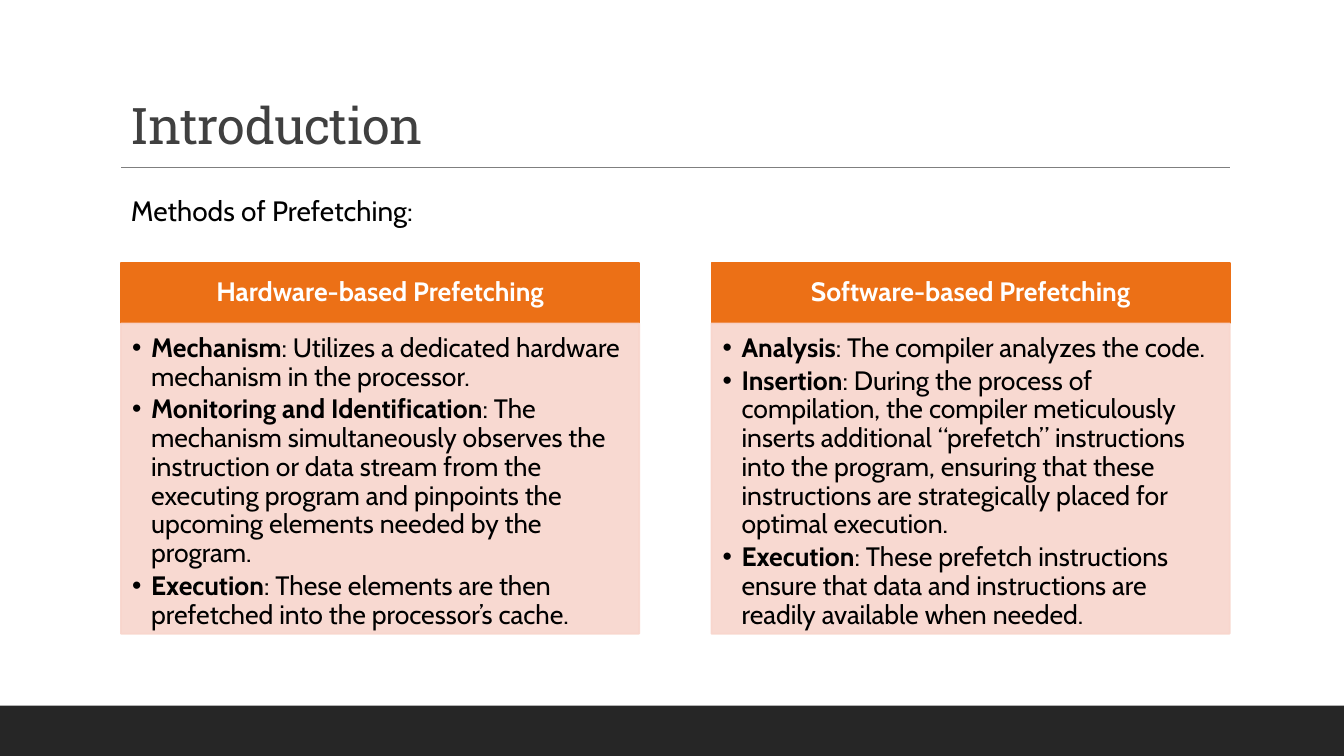
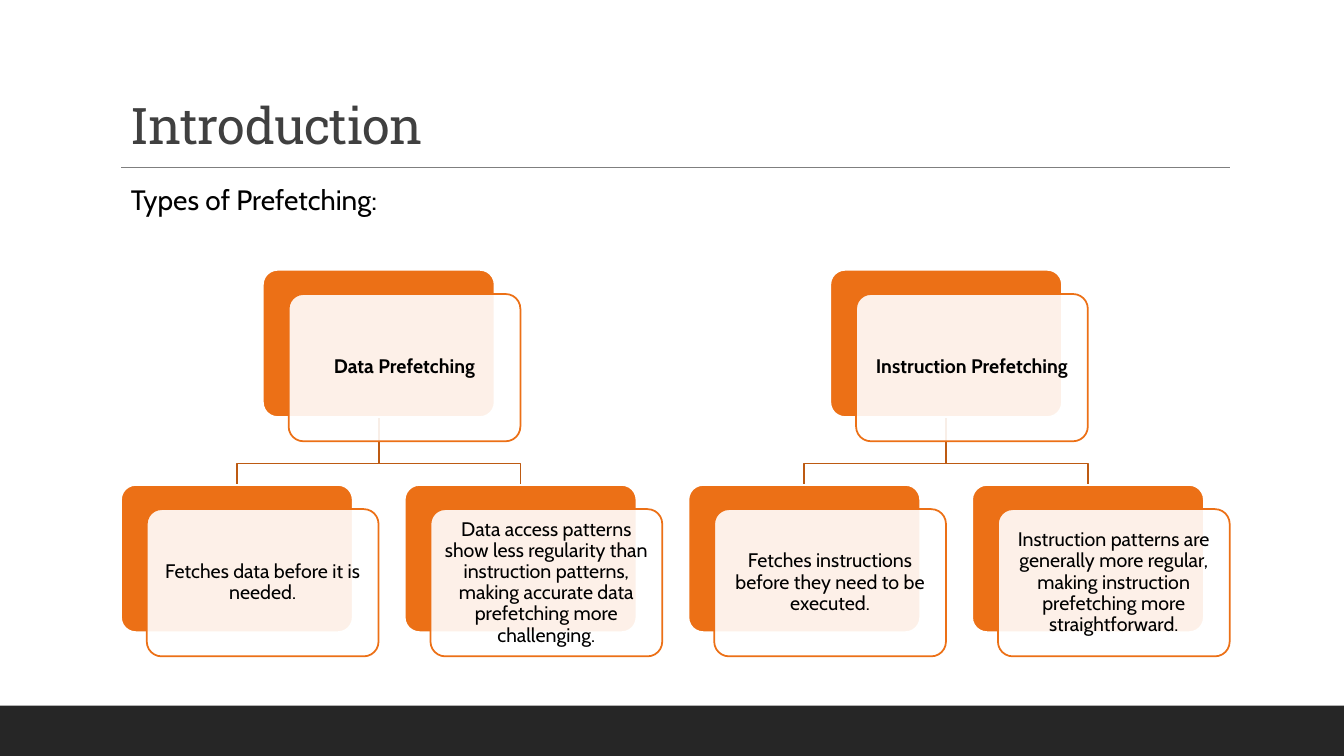
from pptx import Presentation
from pptx.dml.color import RGBColor
from pptx.enum.shapes import MSO_CONNECTOR, MSO_SHAPE
from pptx.enum.text import MSO_ANCHOR, MSO_AUTO_SIZE, PP_ALIGN
from pptx.oxml.ns import qn
from pptx.util import Cm, Pt
from lxml import etree

RECTANGLE, ROUNDED = MSO_SHAPE.RECTANGLE, MSO_SHAPE.ROUNDED_RECTANGLE
STRAIGHT = MSO_CONNECTOR.STRAIGHT
TOP, MIDDLE = MSO_ANCHOR.TOP, MSO_ANCHOR.MIDDLE
LEFT, CENTER, JUSTIFY = PP_ALIGN.LEFT, PP_ALIGN.CENTER, PP_ALIGN.JUSTIFY
GROW = MSO_AUTO_SIZE.SHAPE_TO_FIT_TEXT

ORANGE = RGBColor(0xEC, 0x70, 0x16)
DARK_ORANGE = RGBColor(0xBD, 0x5A, 0x12)
PINK = RGBColor(0xF8, 0xD5, 0xCC)
CHARCOAL = RGBColor(0x26, 0x26, 0x26)
TITLE_GRAY = RGBColor(0x40, 0x40, 0x40)
RULE_GRAY = RGBColor(0x7F, 0x7F, 0x7F)
BLACK = RGBColor(0x00, 0x00, 0x00)
WHITE = RGBColor(0xFF, 0xFF, 0xFF)

TITLE_FONT = {"name": "Roboto Slab", "size": Pt(36)}
LEAD_FONT = {"name": "Cabin", "size": Pt(20)}
COLUMN_FONT = {"name": "Cabin", "size": Pt(19)}
CARD_FONT = {"name": "Cabin", "size": Pt(14)}

SLIDE_WIDTH, SLIDE_HEIGHT = Cm(33.87), Cm(19.05)
BAND_HEIGHT = Cm(1.27)
MARGIN, CONTENT_WIDTH = Cm(3.05), Cm(27.94)
LINE_WIDTH = Pt(1.25)

COLUMN_TOP, COLUMN_WIDTH = Cm(6.63), Cm(13.06)
HEADER_HEIGHT, BODY_HEIGHT = Cm(1.52), Cm(7.82)

CARD_WIDTH, CARD_HEIGHT = Cm(5.84), Cm(3.71)
CARD_SHIFT_X, CARD_SHIFT_Y = Cm(0.65), Cm(0.61)
CARD_PITCH = Cm(7.15)
ROOT_TOP, LEAF_TOP = Cm(6.8), Cm(12.22)
ELBOW_DROP = Cm(0.54)

COLUMNS = [
    ("Hardware-based Prefetching", [
        ("Mechanism", "Utilizes a dedicated hardware mechanism in the processor."),
        ("Monitoring and Identification",
         "The mechanism simultaneously observes the instruction or data stream from the "
         "executing program and pinpoints the upcoming elements needed by the program."),
        ("Execution", "These elements are then prefetched into the processor’s cache."),
    ]),
    ("Software-based Prefetching", [
        ("Analysis", "The compiler analyzes the code."),
        ("Insertion",
         "During the process of compilation, the compiler meticulously inserts additional "
         "“prefetch” instructions into the program, ensuring that these instructions are "
         "strategically placed for optimal execution."),
        ("Execution",
         "These prefetch instructions ensure that data and instructions are readily "
         "available when needed."),
    ]),
]

TREES = [
    ("Data Prefetching", [
        "Fetches data before it is needed.",
        "Data access patterns show less regularity than instruction patterns, making "
        "accurate data prefetching more challenging.",
    ]),
    ("Instruction Prefetching", [
        "Fetches instructions before they need to be executed.",
        "Instruction patterns are generally more regular, making instruction prefetching "
        "more straightforward.",
    ]),
]


def set_attributes(target, values):
    for name, value in values.items():
        setattr(target, name, value)


def add_run(paragraph, text, font, color=BLACK, bold=False):
    run = paragraph.add_run()
    run.text = text
    set_attributes(run.font, {**font, "bold": bold})
    run.font.color.rgb = color
    return run


def set_frame(shape, anchor, margins, wrap=True):
    """Margins are left, top, right and bottom."""
    frame = shape.text_frame
    left, top, right, bottom = margins
    set_attributes(frame, {
        "word_wrap": wrap, "vertical_anchor": anchor,
        "margin_left": left, "margin_top": top,
        "margin_right": right, "margin_bottom": bottom,
    })
    return frame


def add_box(slide, kind, left, top, width, height, fill, line=None):
    shape = slide.shapes.add_shape(kind, left, top, width, height)
    shape.shadow.inherit = False
    shape.fill.solid()
    shape.fill.fore_color.rgb = fill
    if line is None:
        shape.line.fill.background()
    else:
        shape.line.color.rgb = line
        shape.line.width = LINE_WIDTH
    return shape


def fade(shape, color):
    """Make every use of the color in the shape 90 % opaque."""
    for element in shape._element.spPr.iter(qn("a:srgbClr")):
        if element.get("val") == str(color):
            etree.SubElement(element, qn("a:alpha")).set("val", "90000")


def add_bullet(paragraph):
    properties = paragraph._p.get_or_add_pPr()
    properties.set("marL", str(Cm(0.48)))
    properties.set("indent", str(-Cm(0.48)))
    etree.SubElement(properties, qn("a:buFont")).set("typeface", "Arial")
    etree.SubElement(properties, qn("a:buChar")).set("char", "•")


def add_base_slide(presentation, title):
    """Add a slide with the bottom band, the title and the rule below it."""
    slide = presentation.slides.add_slide(presentation.slide_layouts[6])
    add_box(slide, RECTANGLE, 0, SLIDE_HEIGHT - BAND_HEIGHT, SLIDE_WIDTH, BAND_HEIGHT, CHARCOAL)

    title_top, title_height = Cm(2.41), Cm(1.8)
    box = slide.shapes.add_textbox(MARGIN, title_top, CONTENT_WIDTH, title_height)
    frame = set_frame(box, TOP, (Cm(0.25), Cm(0.13), Cm(0.25), Cm(0.13)))
    paragraph = frame.paragraphs[0]
    set_attributes(paragraph, {"alignment": JUSTIFY, "line_spacing": 0.9})
    run = add_run(paragraph, title, TITLE_FONT, TITLE_GRAY)
    run._r.get_or_add_rPr().set("spc", "-50")

    rule_top = title_top + title_height
    rule = slide.shapes.add_connector(
        STRAIGHT, MARGIN, rule_top, MARGIN + CONTENT_WIDTH, rule_top)
    rule.line.color.rgb = RULE_GRAY
    rule.line.width = Pt(0.75)
    etree.SubElement(rule._element.spPr, qn("a:effectLst"))
    return slide


def add_lead(slide, text, top, width):
    box = slide.shapes.add_textbox(MARGIN, top, width, Cm(1.12))
    frame = set_frame(box, TOP, (Cm(0.25), Cm(0.13), Cm(0.25), Cm(0.13)), wrap=False)
    frame.auto_size = GROW
    add_run(frame.paragraphs[0], text, LEAD_FONT)


def add_column(slide, left, top, width, heading, points):
    header = add_box(slide, RECTANGLE, left, top, width, HEADER_HEIGHT, ORANGE, ORANGE)
    frame = set_frame(header, MIDDLE, (Cm(0.38), Cm(0.2), Cm(0.38), Cm(0.2)))
    paragraph = frame.paragraphs[0]
    set_attributes(paragraph, {"alignment": CENTER, "line_spacing": 0.9})
    add_run(paragraph, heading, COLUMN_FONT, WHITE, bold=True)

    body = add_box(slide, RECTANGLE, left, top + HEADER_HEIGHT, width, BODY_HEIGHT, PINK, PINK)
    fade(body, PINK)
    frame = set_frame(body, TOP, (Cm(0.28), Cm(0.28), Cm(0.38), Cm(0.43)))
    for index, (term, explanation) in enumerate(points):
        paragraph = frame.add_paragraph() if index else frame.paragraphs[0]
        set_attributes(paragraph, {
            "alignment": LEFT, "line_spacing": 0.9, "space_after": Pt(2.85)})
        add_bullet(paragraph)
        add_run(paragraph, term, COLUMN_FONT, bold=True)
        add_run(paragraph, f": {explanation}", COLUMN_FONT)


def add_card(slide, left, top, text, bold=False):
    """Add an orange card with a translucent text card shifted over it."""
    back = add_box(slide, ROUNDED, left, top, CARD_WIDTH, CARD_HEIGHT, ORANGE, WHITE)
    front = add_box(slide, ROUNDED, left + CARD_SHIFT_X, top + CARD_SHIFT_Y,
                    CARD_WIDTH, CARD_HEIGHT, WHITE, ORANGE)
    for card in (back, front):
        card.adjustments[0] = 0.1
    fade(front, WHITE)
    frame = set_frame(front, MIDDLE, (Cm(0.15),) * 4)
    paragraph = frame.paragraphs[0]
    set_attributes(paragraph, {"alignment": CENTER, "line_spacing": 0.9})
    add_run(paragraph, text, CARD_FONT, bold=bold)


def add_elbow(slide, start_x, start_y, end_x, end_y):
    bend_y = end_y - ELBOW_DROP
    builder = slide.shapes.build_freeform(start_x, start_y)
    builder.add_line_segments(
        [(start_x, bend_y), (end_x, bend_y), (end_x, end_y)], close=False)
    elbow = builder.convert_to_shape()
    elbow.shadow.inherit = False
    elbow.fill.background()
    elbow.line.color.rgb = DARK_ORANGE
    elbow.line.width = LINE_WIDTH


def add_tree(slide, left, root_text, leaf_texts):
    """Add a root card centred over a row of leaf cards."""
    root_left = left + CARD_PITCH * (len(leaf_texts) - 1) // 2
    leaves = [(left + index * CARD_PITCH, text) for index, text in enumerate(leaf_texts)]
    half = CARD_WIDTH // 2
    for leaf_left, _ in leaves:
        add_elbow(slide, root_left + half, ROOT_TOP + CARD_HEIGHT, leaf_left + half, LEAF_TOP)
    add_card(slide, root_left, ROOT_TOP, root_text, bold=True)
    for leaf_left, text in leaves:
        add_card(slide, leaf_left, LEAF_TOP, text)


def add_methods_slide(presentation):
    slide = add_base_slide(presentation, "Introduction")
    step = CONTENT_WIDTH - COLUMN_WIDTH
    for index, (heading, points) in enumerate(COLUMNS):
        add_column(slide, MARGIN + index * step, COLUMN_TOP, COLUMN_WIDTH, heading, points)
    add_lead(slide, "Methods of Prefetching:", Cm(4.75), Cm(7.67))


def add_types_slide(presentation):
    slide = add_base_slide(presentation, "Introduction")
    left = MARGIN
    for root_text, leaf_texts in TREES:
        add_tree(slide, left, root_text, leaf_texts)
        left += CARD_PITCH * len(leaf_texts)
    add_lead(slide, "Types of Prefetching:", Cm(4.47), Cm(6.71))


def main():
    presentation = Presentation()
    set_attributes(presentation, {"slide_width": SLIDE_WIDTH, "slide_height": SLIDE_HEIGHT})
    add_methods_slide(presentation)
    add_types_slide(presentation)
    presentation.save("out.pptx")


if __name__ == "__main__":
    main()
